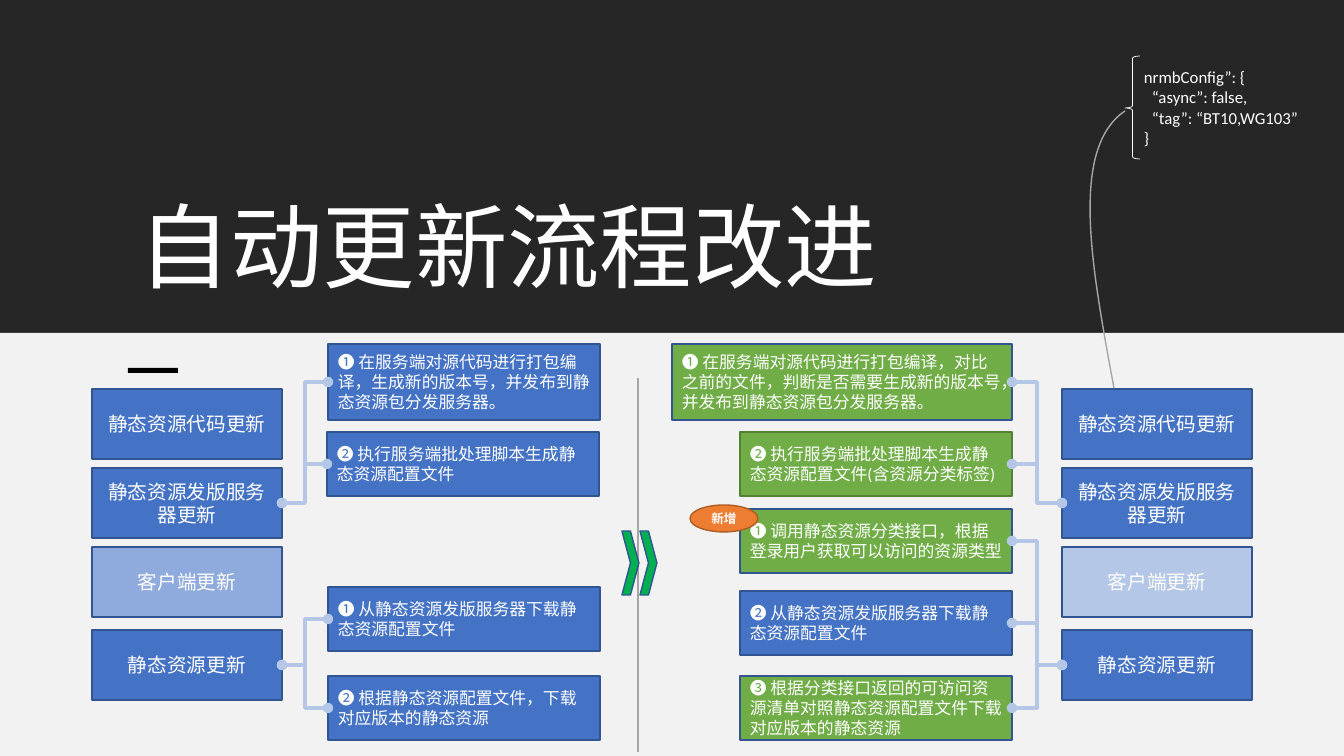
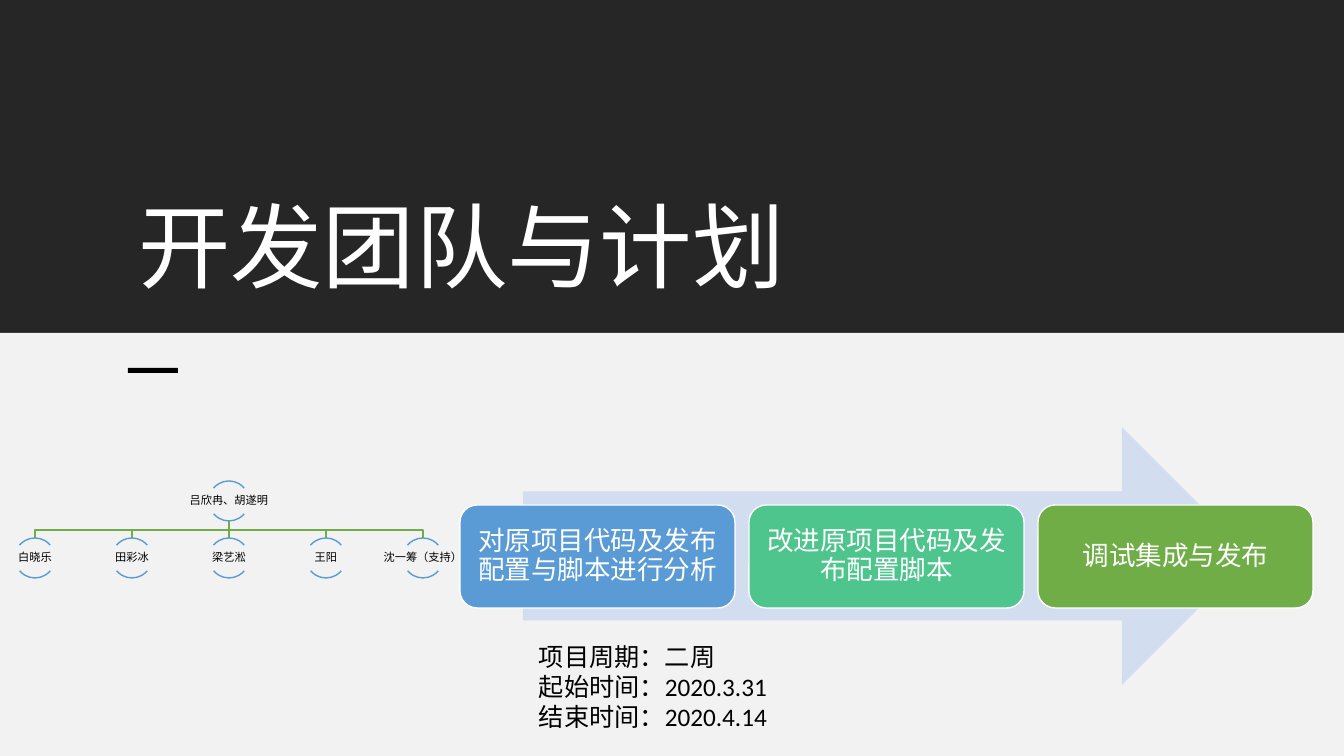
from dataclasses import dataclass
from typing import Optional

from lxml.etree import SubElement
from pptx import Presentation
from pptx.dml.color import RGBColor
from pptx.enum.shapes import MSO_CONNECTOR, MSO_SHAPE
from pptx.enum.text import MSO_ANCHOR, MSO_AUTO_SIZE, PP_ALIGN
from pptx.oxml.ns import qn
from pptx.shapes.autoshape import Shape
from pptx.shapes.connector import Connector
from pptx.slide import Slide
from pptx.text.text import TextFrame
from pptx.util import Emu, Pt

PAGE_WIDTH, PAGE_HEIGHT = 1344, 756
SCALE = 914400 / 100.8
FONT = "Calibri"
COLORS = {
    "white": "FFFFFF", "black": "000000", "dark": "262626", "light": "F2F2F2",
    "blue": "4472C4", "blue edge": "325491", "muted blue": "8FAADC",
    "pale blue": "B4C7E7", "green": "70AD47", "green edge": "538035",
    "orange": "ED7D31", "orange edge": "AF5C24", "chevron": "00B050",
    "divider": "A5A5A5", "curve": "A6A6A6", "sky": "5B9BD5",
    "mint": "4DC58D", "arrow": "D2DEEF",
}


@dataclass(frozen=True)
class Area:
    """A rectangle in pixels."""
    left: float
    top: float
    width: float
    height: float


@dataclass(frozen=True)
class Type:
    """How a text is set."""
    size: float
    color: str = "white"
    align: PP_ALIGN = PP_ALIGN.LEFT
    bold: bool = False
    spacing: Optional[float] = None
    wrap: bool = True


@dataclass(frozen=True)
class Step:
    """A step box and the number of the stage it belongs to."""
    area: Area
    text: str
    stage: int
    fill: str = "blue"
    edge: str = "blue edge"


TITLE = Type(66, spacing=0.9)
STAGE = Type(14, align=PP_ALIGN.CENTER)
STEP = Type(12)
BADGE = Type(9, align=PP_ALIGN.CENTER, bold=True)
MEMBER = Type(8, "black", PP_ALIGN.CENTER, spacing=0.9, wrap=False)
PHASE = Type(19, align=PP_ALIGN.CENTER, spacing=0.9)
SCHEDULE = Type(18, "black")

STAGES = [(389, "静态资源代码更新"), (468, "静态资源发版服务器更新"),
          (547, "客户端更新"), (630, "静态资源更新")]
RELEASE, UPDATE = 1, 3
STEPS_BEFORE = [
    Step(Area(328, 344, 272, 76),
         "❶ 在服务端对源代码进行打包编译，生成新的版本号，并发布到静态资源包分发服务器。", RELEASE),
    Step(Area(327, 432, 272, 64), "❷ 执行服务端批处理脚本生成静态资源配置文件", RELEASE),
    Step(Area(328, 587, 272, 64), "❶ 从静态资源发版服务器下载静态资源配置文件", UPDATE),
    Step(Area(328, 676, 272, 64), "❷ 根据静态资源配置文件，下载对应版本的静态资源", UPDATE),
]
STEPS_AFTER = [
    Step(Area(672, 344, 340, 76),
         "❶ 在服务端对源代码进行打包编译，对比之前的文件，判断是否需要生成新的版本号，"
         "并发布到静态资源包分发服务器。", RELEASE, "green"),
    Step(Area(740, 432, 272, 64),
         "❷ 执行服务端批处理脚本生成静态资源配置文件(含资源分类标签)",
         RELEASE, "green", "green edge"),
    Step(Area(740, 509, 272, 64),
         "❶ 调用静态资源分类接口，根据登录用户获取可以访问的资源类型", UPDATE, "green"),
    Step(Area(740, 591, 272, 64), "❷ 从静态资源发版服务器下载静态资源配置文件", UPDATE),
    Step(Area(740, 676, 272, 64),
         "❸ 根据分类接口返回的可访问资源清单对照静态资源配置文件下载对应版本的静态资源",
         UPDATE, "green"),
]
LEADERS = "吕欣冉、胡遂明"
MEMBERS = ["白晓乐", "田彩冰", "梁艺淞", "王阳", "沈一筹（支持）"]
PHASES = [("对原项目代码及发布配置与脚本进行分析", "sky"),
          ("改进原项目代码及发布配置脚本", "mint"), ("调试集成与发布", "green")]


def px(length: float) -> Emu:
    """Turn pixels into EMU."""
    return Emu(round(length * SCALE))


def box_of(area: Area) -> tuple[Emu, Emu, Emu, Emu]:
    """Give the four lengths of an area in EMU."""
    return px(area.left), px(area.top), px(area.width), px(area.height)


def rgb(name: str) -> RGBColor:
    """Look up a colour."""
    return RGBColor.from_string(COLORS[name])


def write(frame: TextFrame, lines: list[str], style: Type,
          anchor: MSO_ANCHOR = MSO_ANCHOR.MIDDLE) -> None:
    """Fill a text frame, one paragraph a line."""
    frame.word_wrap = style.wrap
    frame.auto_size = MSO_AUTO_SIZE.NONE
    frame.vertical_anchor = anchor
    frame.text = "\n".join(lines)
    for para in frame.paragraphs:
        para.alignment = style.align
        para.line_spacing = style.spacing
        para.font.name = FONT
        para.font.size = Pt(style.size)
        para.font.bold = style.bold
        para.font.color.rgb = rgb(style.color)


def set_inset(frame: TextFrame, inset: float) -> None:
    """Give a text frame equal margins on all sides."""
    frame.margin_left = frame.margin_right = px(inset)
    frame.margin_top = frame.margin_bottom = px(inset)


def paint(shape: Shape, fill: Optional[str], edge: Optional[str], weight: float = 1) -> None:
    """Set fill and outline, and drop the shadow."""
    shape.shadow.inherit = False
    if fill:
        shape.fill.solid()
        shape.fill.fore_color.rgb = rgb(fill)
    else:
        shape.fill.background()
    if edge:
        shape.line.color.rgb = rgb(edge)
        shape.line.width = Pt(weight)
    else:
        shape.line.fill.background()


def add_box(page: Slide, area: Area, fill: Optional[str], edge: Optional[str] = None,
            kind: MSO_SHAPE = MSO_SHAPE.RECTANGLE, weight: float = 1) -> Shape:
    """Draw a preset shape."""
    box = page.shapes.add_shape(kind, *box_of(area))
    paint(box, fill, edge, weight)
    return box


def add_text(page: Slide, area: Area, lines: list[str], style: Type,
             anchor: MSO_ANCHOR = MSO_ANCHOR.TOP) -> TextFrame:
    """Draw a text box and give its frame."""
    frame = page.shapes.add_textbox(*box_of(area)).text_frame
    write(frame, lines, style, anchor)
    return frame


def add_path(page: Slide, points: list[tuple[float, float]], color: str) -> None:
    """Draw an open outline through the points."""
    (start_x, start_y), *rest = [(px(x), px(y)) for x, y in points]
    builder = page.shapes.build_freeform(start_x, start_y)
    builder.add_line_segments(rest, close=False)
    paint(builder.convert_to_shape(), None, color)


def style_line(line: Connector, color: str, weight: float) -> None:
    """Set a connector's colour and width, and drop its shadow."""
    line.line.color.rgb = rgb(color)
    line.line.width = Pt(weight)
    SubElement(line.element.spPr, qn("a:effectLst"))


def link(page: Slide, source: Shape, target: Shape) -> None:
    """Join the right side of one box to the left side of another."""
    elbow = page.shapes.add_connector(MSO_CONNECTOR.ELBOW, 0, 0, 0, 0)
    elbow.begin_connect(source, 3)
    elbow.end_connect(target, 1)
    style_line(elbow, "pale blue", 2.5)
    outline = elbow.line._get_or_add_ln()
    for end in ("a:headEnd", "a:tailEnd"):
        SubElement(outline, qn(end), type="oval")


def add_page(deck: Presentation, title: str) -> Slide:
    """Add a slide with the shared bands, accent and title."""
    page = deck.slides.add_slide(deck.slide_layouts.get_by_name("Title Only"))
    heading = page.shapes.title
    top_band = add_box(page, Area(0, 0, PAGE_WIDTH, 333), "dark")
    heading.element.addprevious(top_band.element)
    heading.left, heading.top, heading.width, heading.height = box_of(Area(128, 71, 1090, 236))
    write(heading.text_frame, [title], TITLE, MSO_ANCHOR.BOTTOM)
    add_box(page, Area(0, 333, PAGE_WIDTH, PAGE_HEIGHT - 333), "light")
    add_box(page, Area(128, 368, 50, 5), "black")
    return page


def add_flow(page: Slide, left: float, client_fill: str, steps: list[Step],
             stages_first: bool) -> None:
    """Draw a column of stages and the steps linked to them."""
    stages = []
    for top, text in STAGES:
        fill = client_fill if text == "客户端更新" else "blue"
        stages.append(add_box(page, Area(left, top, 190, 70), fill, "blue edge"))
        write(stages[-1].text_frame, [text], STAGE)
    for step in steps:
        box = add_box(page, step.area, step.fill, step.edge)
        write(box.text_frame, [step.text], STEP)
        stage = stages[step.stage]
        link(page, *((stage, box) if stages_first else (box, stage)))


def add_config(page: Slide) -> None:
    """Draw the configuration note, its brace and the curve leading to it."""
    brace = add_box(page, Area(1125, 56, 15, 103), None, "white", MSO_SHAPE.LEFT_BRACE, 0.5)
    brace.adjustments[0], brace.adjustments[1] = 0.144, 0.505
    frame = add_text(page, Area(1134, 62, 197, 92),
                     ["nrmbConfig”: {", "“async”: false,", "“tag”: “BT10,WG103”", "}"], STEP)
    for para in frame.paragraphs[1:3]:
        para._p.get_or_add_pPr().set("marL", str(px(8)))
    controls = [(1114, 388), (1092, 269), (1069, 149), (1125, 111)]
    count = 40
    points = []
    for index in range(count + 1):
        t = index / count
        weights = ((1 - t) ** 3, 3 * t * (1 - t) ** 2, 3 * t ** 2 * (1 - t), t ** 3)
        points.append((sum(w * x for w, (x, _) in zip(weights, controls)),
                       sum(w * y for w, (_, y) in zip(weights, controls))))
    add_path(page, points, "curve")


def add_member(page: Slide, center: float, top: float, name: str) -> None:
    """Draw a name on one line between an upper and a lower arc."""
    for start, end in ((132, 192), (24, 84)):
        arc = add_box(page, Area(center - 20, top, 40, 40), None, "sky", MSO_SHAPE.ARC)
        arc.adjustments[0], arc.adjustments[1] = start, end
    frame = add_text(page, Area(center - 40, top + 7, 80, 25), [name], MEMBER, MSO_ANCHOR.MIDDLE)
    set_inset(frame, 1)


def build_flow_page(deck: Presentation) -> None:
    """Build the comparison of the update flows."""
    page = add_page(deck, "自动更新流程改进")
    add_flow(page, 92, "muted blue", STEPS_BEFORE, True)
    add_flow(page, 1062, "pale blue", STEPS_AFTER, False)
    badge = add_box(page, Area(690, 505, 68, 27), "orange", "orange edge", MSO_SHAPE.OVAL)
    write(badge.text_frame, ["新增"], BADGE)
    divider = page.shapes.add_connector(
        MSO_CONNECTOR.STRAIGHT, px(638), px(378), px(638), px(752))
    style_line(divider, "divider", 1.5)
    for left in (622, 640):
        add_box(page, Area(left, 531, 17, 64), "chevron", "blue edge", MSO_SHAPE.CHEVRON)
    add_config(page)


def build_plan_page(deck: Presentation) -> None:
    """Build the team tree, the phases and the schedule."""
    page = add_page(deck, "开发团队与计划")
    root, root_top, member_top = 229, 481, 538
    centers = [35 + 97 * index for index in range(len(MEMBERS))]
    for center in centers:
        bends = [] if center == root else [(root, 530), (center, 530)]
        add_path(page, [(root, root_top + 40), *bends, (center, member_top)], "green")
    add_member(page, root, root_top, LEADERS)
    for center, name in zip(centers, MEMBERS):
        add_member(page, center, member_top, name)
    add_box(page, Area(523, 427, 728, 258), "arrow", kind=MSO_SHAPE.RIGHT_ARROW)
    for index, (text, fill) in enumerate(PHASES):
        phase = add_box(page, Area(460 + 289 * index, 505, 275, 103), fill, "white",
                        MSO_SHAPE.ROUNDED_RECTANGLE)
        write(phase.text_frame, [text], PHASE)
        set_inset(phase.text_frame, 8)
    add_text(page, Area(529, 636, 489, 102),
             ["项目周期：二周", "起始时间：2020.3.31", "结束时间：2020.4.14"], SCHEDULE)


def main() -> None:
    """Build and save the deck."""
    deck = Presentation()
    deck.slide_width, deck.slide_height = px(PAGE_WIDTH), px(PAGE_HEIGHT)
    build_flow_page(deck)
    build_plan_page(deck)
    deck.save("out.pptx")


main()
